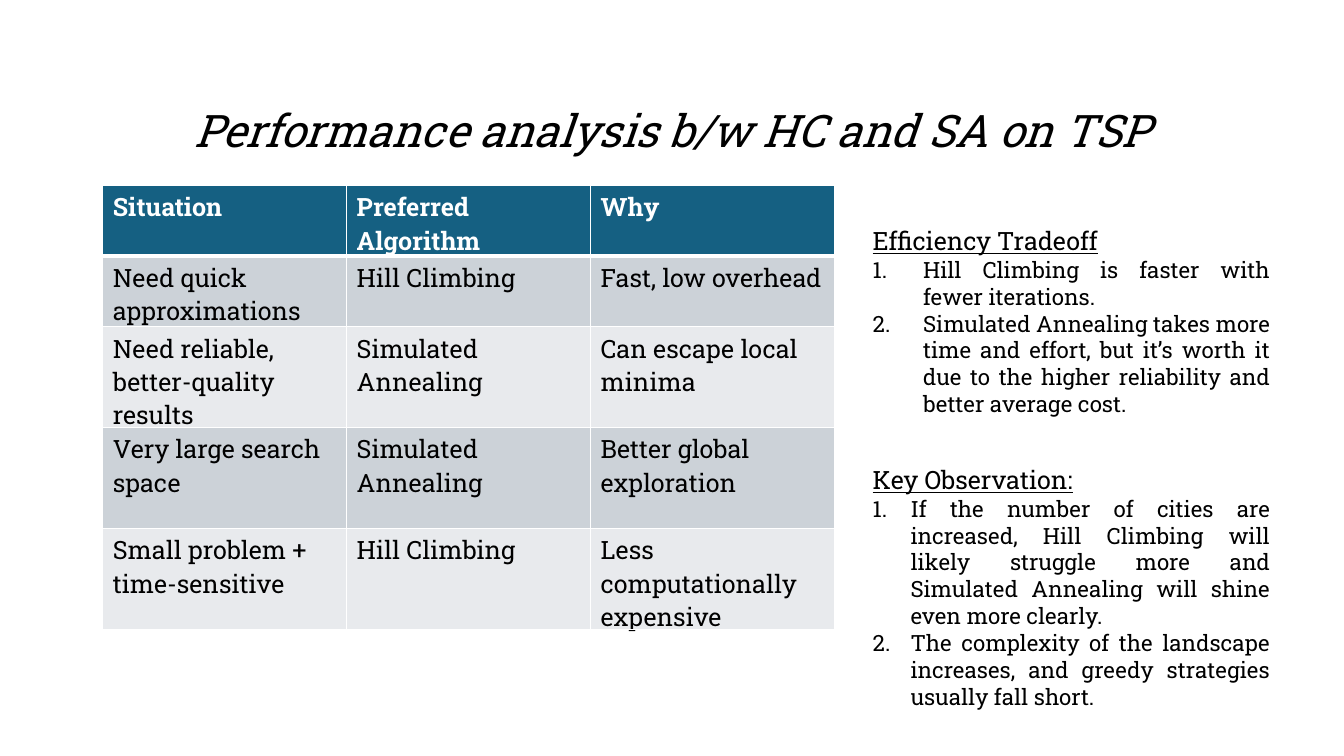
from dataclasses import dataclass

from lxml import etree
from pptx import Presentation
from pptx.dml.color import RGBColor
from pptx.enum.text import MSO_ANCHOR, MSO_AUTO_SIZE, PP_ALIGN
from pptx.oxml.ns import qn
from pptx.util import Pt

CENTER, JUSTIFY = PP_ALIGN.CENTER, PP_ALIGN.JUSTIFY
MIDDLE = MSO_ANCHOR.MIDDLE
GROW, FIXED = MSO_AUTO_SIZE.SHAPE_TO_FIT_TEXT, MSO_AUTO_SIZE.NONE
FONT = "Roboto Slab"
BLACK, WHITE, BLUE = "000000", "FFFFFF", "156082"
BANDS = ("CCD2D8", "E8EAED")


@dataclass
class Note:
    top: float
    height: float
    indent: float
    head: str
    items: tuple[str, ...]


NOTES = (
    Note(157.7, 164.9, 36, "Efficiency Tradeoff", (
        "Hill Climbing is faster with fewer iterations.",
        "Simulated Annealing takes more time and effort, but it’s worth it "
        "due to the higher reliability and better average cost.",
    )),
    Note(328.3, 184.3, 27, "Key Observation:", (
        "If the number of cities are increased, Hill Climbing will likely "
        "struggle more and Simulated Annealing will shine even more clearly.",
        "The complexity of the landscape increases, and greedy strategies "
        "usually fall short.",
    )),
)
ROWS = (
    ("Situation", "Preferred Algorithm", "Why"),
    ("Need quick approximations", "Hill Climbing", "Fast, low overhead"),
    ("Need reliable, better-quality results", "Simulated Annealing",
     "Can escape local minima"),
    ("Very large search space", "Simulated Annealing",
     "Better global exploration"),
    ("Small problem + time-sensitive", "Hill Climbing",
     "Less computationally expensive"),
)
HEIGHTS = (29.2, 50.4, 72, 72, 72)


def rgb(code: str) -> RGBColor:
    return RGBColor.from_string(code)


def style(para, size: float, color: str = BLACK, bold: bool = False,
          italic: bool = False, under: bool = False) -> None:
    for run in para.runs:
        font = run.font
        font.name, font.size = FONT, Pt(size)
        font.bold, font.italic, font.underline = bold, italic, under
        font.color.rgb = rgb(color)


def number(para, indent: float) -> None:
    """Number a paragraph with a hanging indent."""
    props = para._p.get_or_add_pPr()
    props.set("marL", str(Pt(indent)))
    props.set("indent", str(-Pt(indent)))
    etree.SubElement(props, qn("a:buFont"), typeface="+mj-lt")
    etree.SubElement(props, qn("a:buAutoNum"), type="arabicPeriod")


def edge(cell, side: str, width: float) -> None:
    """Draw one white cell border."""
    line = etree.Element(qn(f"a:ln{side}"), w=str(Pt(width)))
    fill = etree.SubElement(line, qn("a:solidFill"))
    etree.SubElement(fill, qn("a:srgbClr"), val=WHITE)
    props = cell._tc.get_or_add_tcPr()
    props.insert("LRTB".index(side), line)


def add_title(slide, text: str) -> None:
    title = slide.shapes.title
    title.left, title.top = Pt(108.7), Pt(57.6)
    title.width, title.height = Pt(743.8), Pt(74.9)
    frame = title.text_frame
    frame.text = text
    frame.auto_size, frame.vertical_anchor = FIXED, MIDDLE
    para = frame.paragraphs[0]
    para.alignment, para.line_spacing = CENTER, 0.9
    style(para, 32, italic=True)


def add_note(slide, note: Note) -> None:
    box = slide.shapes.add_textbox(
        Pt(616.3), Pt(note.top), Pt(298.1), Pt(note.height))
    frame = box.text_frame
    frame.word_wrap, frame.auto_size = True, GROW
    frame.text = "\n".join((note.head, *note.items))
    head, *items = frame.paragraphs
    style(head, 18, under=True)
    for para in items:
        para.alignment = JUSTIFY
        number(para, note.indent)
        style(para, 16)


def add_grid(slide) -> None:
    shape = slide.shapes.add_table(
        len(ROWS), len(ROWS[0]), Pt(73.4), Pt(132.5), Pt(522.7), Pt(381.6))
    table = shape.table
    for col in table.columns:
        col.width = Pt(174.24)
    for r, texts in enumerate(ROWS):
        table.rows[r].height = Pt(HEIGHTS[r])
        top = r == 0
        for c, text in enumerate(texts):
            cell = table.cell(r, c)
            cell.text = text
            style(cell.text_frame.paragraphs[0], 18,
                  WHITE if top else BLACK, bold=top)
            cell.fill.solid()
            cell.fill.fore_color.rgb = rgb(BLUE if top else BANDS[(r - 1) % 2])
            for side in "LRTB":
                thick = (r, side) in ((0, "B"), (1, "T"))
                edge(cell, side, 3 if thick else 1)
    shape.height = Pt(381.6)


def main() -> None:
    deck = Presentation()
    deck.slide_width, deck.slide_height = Pt(960), Pt(540)
    slide = deck.slides.add_slide(deck.slide_layouts[5])
    add_title(slide, "Performance analysis b/w HC and SA on TSP")
    for note in NOTES:
        add_note(slide, note)
    add_grid(slide)
    deck.save("out.pptx")


if __name__ == "__main__":
    main()
